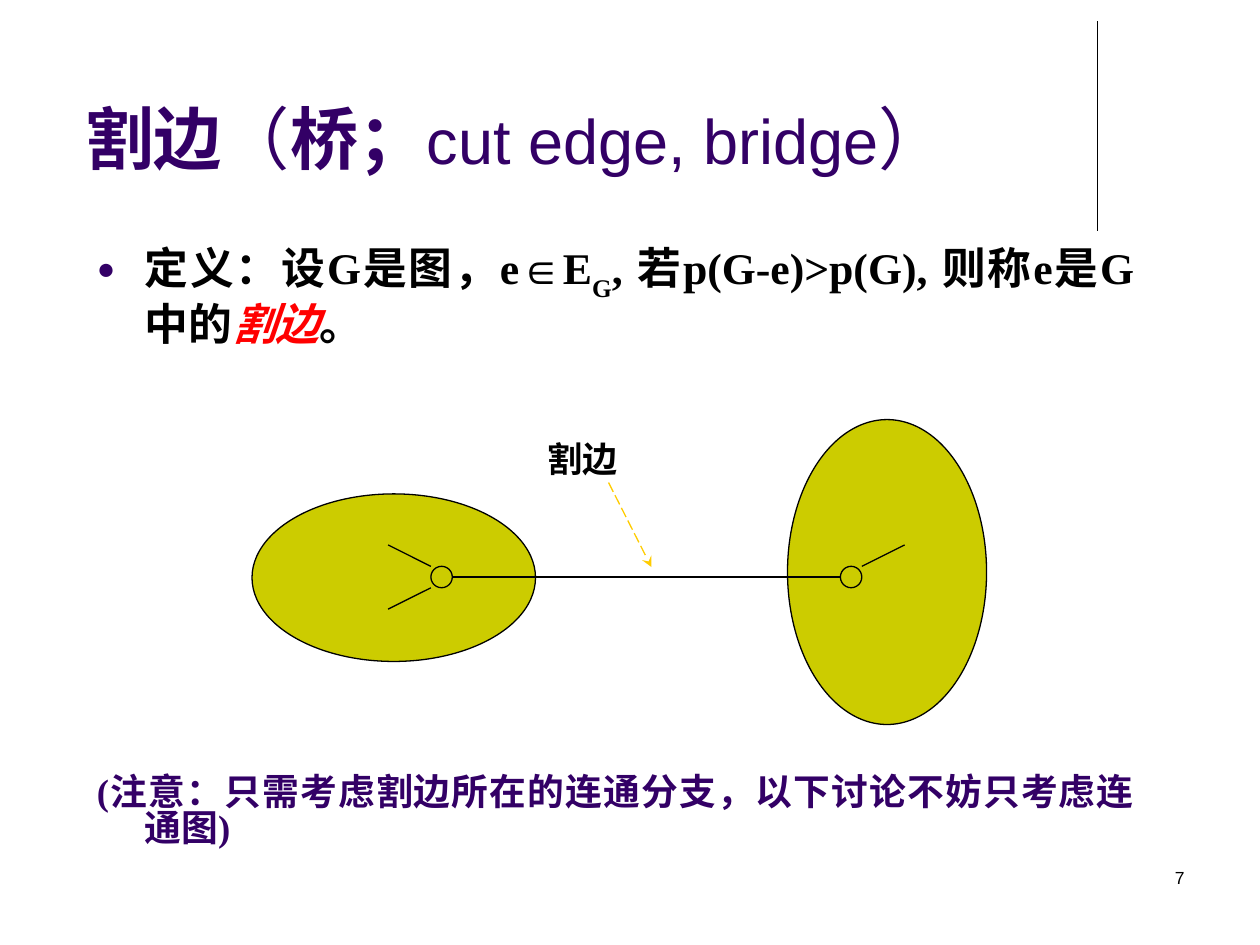
from lxml.etree import SubElement
from pptx import Presentation
from pptx.dml.color import RGBColor
from pptx.enum.dml import MSO_LINE
from pptx.enum.shapes import MSO_CONNECTOR, MSO_SHAPE
from pptx.enum.text import MSO_ANCHOR, PP_ALIGN
from pptx.oxml.ns import qn
from pptx.util import Inches, Pt

COLORS = {
    "ink": "000000",
    "purple": "330066",
    "red": "FF0000",
    "olive": "CCCC00",
    "gold": "FFCC00",
}
SANS = "Arial"
SERIF = "Times New Roman"


def color(name):
    return RGBColor.from_string(COLORS[name])


def add_text(slide, box, runs, size, face, ink="ink", bold=None, align=None):
    shape = slide.shapes.add_textbox(*map(Inches, box))
    frame = shape.text_frame
    frame.word_wrap = True
    para = frame.paragraphs[0]
    para.alignment = align
    font = para.font
    font.size, font.name, font.bold = Pt(size), face, bold
    font.color.rgb = color(ink)
    for words in runs:
        para.add_run().text = words
    return frame


def hang(para, depth, bullet=None):
    props = para._p.get_or_add_pPr()
    props.set("marL", str(Inches(depth)))
    props.set("indent", str(-Inches(depth)))
    if bullet:
        paint = SubElement(props, qn("a:buClr"))
        SubElement(paint, qn("a:srgbClr"), val=COLORS["purple"])
        SubElement(props, qn("a:buSzPct"), val="70000")
        SubElement(props, qn("a:buFont"), typeface=SANS)
        SubElement(props, qn("a:buChar"), char=bullet)
        font = props.find(qn("a:defRPr"))
        props.append(font)


def add_line(slide, start, end, ink="ink"):
    line = slide.shapes.add_connector(
        MSO_CONNECTOR.STRAIGHT, *map(Inches, (*start, *end)))
    line.line.color.rgb = color(ink)
    line.line.width = Pt(0.75)
    SubElement(line._element.spPr, qn("a:effectLst"))
    return line


def add_oval(slide, box):
    oval = slide.shapes.add_shape(MSO_SHAPE.OVAL, *map(Inches, box))
    oval.shadow.inherit = False
    oval.fill.solid()
    oval.fill.fore_color.rgb = color("olive")
    oval.line.color.rgb = color("ink")
    oval.line.width = Pt(0.75)


def add_title(slide, box):
    words = ["割边", "（", "桥；", "cut edge, bridge", "）"]
    frame = add_text(slide, box, words, 39, SANS, "purple")
    frame.vertical_anchor = MSO_ANCHOR.BOTTOM
    runs = frame.paragraphs[0].runs
    for run in (runs[0], runs[2]):
        run.font.bold = True
    runs[3].font.size = Pt(36)


def add_body(slide, box):
    words = ["定义：设G是图，e∈E", "G", ", 若p(G-e)>p(G), 则称e是G中的", "割边", "。"]
    frame = add_text(slide, box, words, 25, SERIF, "ink", True, PP_ALIGN.JUSTIFY)
    para = frame.paragraphs[0]
    para.line_spacing = 0.96
    hang(para, 0.38, "●")
    para.runs[1].font._element.set("baseline", "-30000")
    term = para.runs[3].font
    term.italic = True
    term.color.rgb = color("red")


def add_note(slide, box):
    words = ["(注意：只需考虑割边所在的连通分支，以下讨论不妨只考虑连通图)"]
    frame = add_text(slide, box, words, 21, SERIF, "purple", True, PP_ALIGN.JUSTIFY)
    para = frame.paragraphs[0]
    para.line_spacing = 0.83
    hang(para, 0.38)


def add_graph(slide, box):
    left, top, width, height = box
    mid = top + 1.25
    node = 0.17
    near, far = left + 1.42, left + 4.67
    add_oval(slide, (left, top + 0.59, 2.25, 1.33))
    add_oval(slide, (left + width - 1.58, top, 1.58, height))
    add_text(slide, (left + 2.25, top + 0.09, 1.5, 0.43), ["割边"], 20, SERIF, bold=True)
    add_line(slide, (near + node, mid), (far, mid))
    for x in (near, far):
        add_oval(slide, (x, mid - node / 2, node, node))
    for x, side, rise in ((near, -1, -1), (near, -1, 1), (far + node, 1, -1)):
        y = mid + rise * node / 2
        add_line(slide, (x, y), (x + side * 0.34, y + rise * 0.17))
    arrow = add_line(slide, (left + 2.83, top + 0.5), (left + 3.17, top + 1.17), "gold")
    arrow.line.dash_style = MSO_LINE.LONG_DASH
    SubElement(arrow.line._get_or_add_ln(), qn("a:tailEnd"), type="stealth")


def main():
    deck = Presentation()
    deck.slide_width, deck.slide_height = Inches(10), Inches(7.5)
    slide = deck.slides.add_slide(deck.slide_layouts[6])
    add_line(slide, (8.71, 0.17), (8.71, 1.83))
    add_title(slide, (0.58, 0.23, 8.01, 1.23))
    add_body(slide, (0.67, 1.86, 8.43, 1.1))
    add_graph(slide, (2, 3.33, 5.83, 2.42))
    add_note(slide, (0.67, 6.11, 8.43, 0.8))
    add_text(slide, (7.17, 6.83, 2.33, 0.5), ["7"], 10, SANS, align=PP_ALIGN.RIGHT)
    deck.save("out.pptx")


if __name__ == "__main__":
    main()
